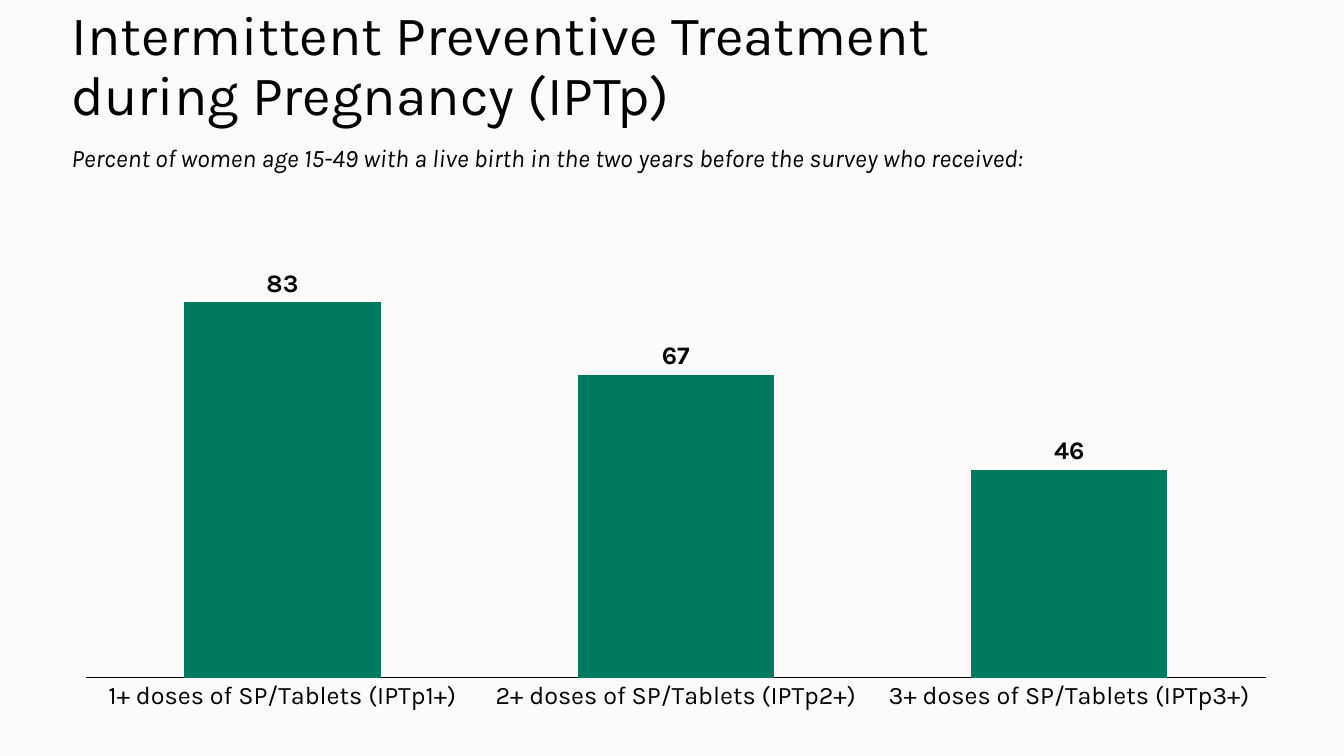
import pptx
import pptx.chart.data
import pptx.dml.color
import pptx.enum.chart
import pptx.enum.text
import pptx.oxml
import pptx.oxml.ns
import pptx.util
from dataclasses import dataclass

Cm = pptx.util.Cm
Pt = pptx.util.Pt


@dataclass(frozen=True)
class Theme:
    font: str = "Karla"
    background: str = "FCFBFA"
    ink: str = "000000"
    bar: str = "007A5E"
    title: float = 39.6
    body: float = 18
    line: float = 0.75


class SlideBuilder:
    left, width = Cm(1.55), Cm(30.66)

    def __init__(self, prs, theme):
        self.theme = theme
        self.s = prs.slides.add_slide(prs.slide_layouts[5])
        self.paint(self.s.background.fill, theme.background)

    def paint(self, fill, color):
        fill.solid()
        fill.fore_color.rgb = pptx.dml.color.RGBColor.from_string(color)

    def style(self, font, size, bold=False, italic=False):
        font.name = self.theme.font
        font.size = Pt(size)
        font.bold = bold
        font.italic = italic
        font.color.rgb = pptx.dml.color.RGBColor.from_string(self.theme.ink)

    def place(self, sp, top, height):
        sp.left, sp.top, sp.width, sp.height = self.left, top, self.width, height

    def title(self, text, top, height):
        sp = self.s.shapes.title
        self.place(sp, top, height)
        tf = sp.text_frame
        tf.text = text
        tf.word_wrap = True
        tf.auto_size = pptx.enum.text.MSO_AUTO_SIZE.NONE
        tf.vertical_anchor = pptx.enum.text.MSO_ANCHOR.MIDDLE
        p = tf.paragraphs[0]
        p.alignment = pptx.enum.text.PP_ALIGN.LEFT
        p.line_spacing = 0.9
        self.style(p.font, self.theme.title)

    def subtitle(self, text, top, height):
        sp = self.s.shapes.add_textbox(self.left, top, self.width, height)
        tf = sp.text_frame
        tf.text = text
        tf.word_wrap = True
        tf.auto_size = pptx.enum.text.MSO_AUTO_SIZE.SHAPE_TO_FIT_TEXT
        self.style(tf.paragraphs[0].font, self.theme.body, italic=True)

    def column_chart(self, values, top, height, plot_area):
        data = pptx.chart.data.CategoryChartData()
        data.categories = list(values)
        data.add_series("Series 1", list(values.values()))
        chart = self.s.shapes.add_chart(
            pptx.enum.chart.XL_CHART_TYPE.COLUMN_CLUSTERED,
            self.left, top, self.width, height, data).chart
        self.style(chart.font, self.theme.body)
        chart.has_legend = False
        chart.has_title = False

        axis = chart.category_axis
        axis.major_tick_mark = pptx.enum.chart.XL_TICK_MARK.NONE
        axis.format.line.width = Pt(self.theme.line)
        self.paint(axis.format.line.fill, self.theme.ink)
        self.style(axis.tick_labels.font, self.theme.body)
        scale = chart.value_axis
        scale.minimum_scale, scale.maximum_scale = 0, 100
        scale.has_major_gridlines = False
        scale.visible = False

        plot = chart.plots[0]
        plot.gap_width = 100
        plot.vary_by_categories = False
        self.paint(plot.series[0].format.fill, self.theme.bar)
        plot.has_data_labels = True
        labels = plot.data_labels
        labels.show_value = True
        labels.position = pptx.enum.chart.XL_LABEL_POSITION.OUTSIDE_END
        self.style(labels.font, self.theme.body, bold=True)
        self.fix_plot_area(chart, plot_area)

    def fix_plot_area(self, chart, plot_area):
        qn = pptx.oxml.ns.qn
        area = chart.element.find(".//" + qn("c:plotArea"))
        for old in area.findall(qn("c:layout")):
            area.remove(old)
        settings = [("layoutTarget", "inner"), ("xMode", "edge"), ("yMode", "edge")]
        settings += zip("xywh", plot_area)
        children = "".join(f'<c:{tag} val="{val}"/>' for tag, val in settings)
        area.insert(0, pptx.oxml.parse_xml(
            f'<c:layout {pptx.oxml.ns.nsdecls("c")}>'
            f"<c:manualLayout>{children}</c:manualLayout></c:layout>"))


def main():
    prs = pptx.Presentation()
    prs.slide_width, prs.slide_height = Cm(33.87), Cm(19.05)
    slide = SlideBuilder(prs, Theme())
    slide.title("Intermittent Preventive Treatment \vduring Pregnancy (IPTp)",
                Cm(0.41), Cm(2.57))
    doses = {f"{n}+ doses of SP/Tablets (IPTp{n}+)": value
             for n, value in enumerate((83, 67, 46), 1)}
    slide.column_chart(doses, Cm(4.98), Cm(14.07), (0.02, 0.05, 0.97, 0.81))
    slide.subtitle("Percent of women age 15-49 with a live birth in the two years "
                   "before the survey who received:", Cm(3.45), Cm(1.02))
    prs.save("out.pptx")


if __name__ == "__main__":
    main()
